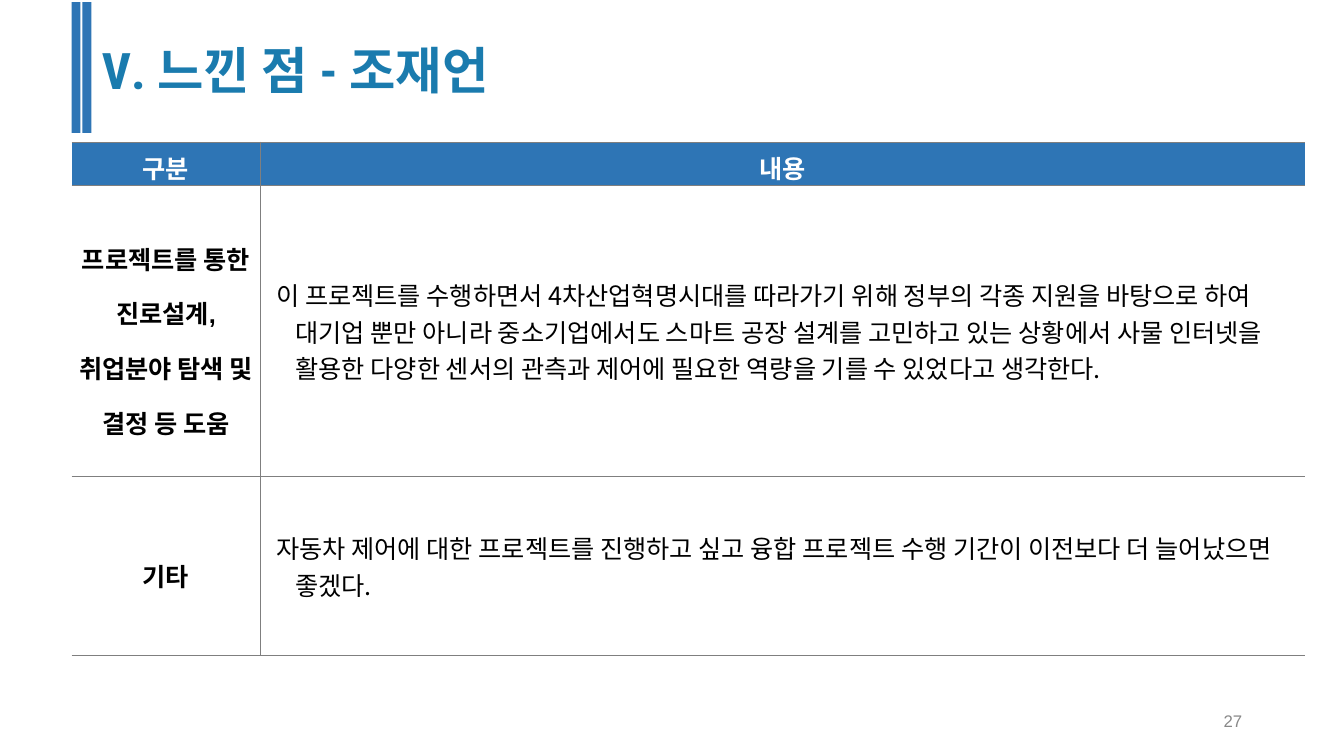
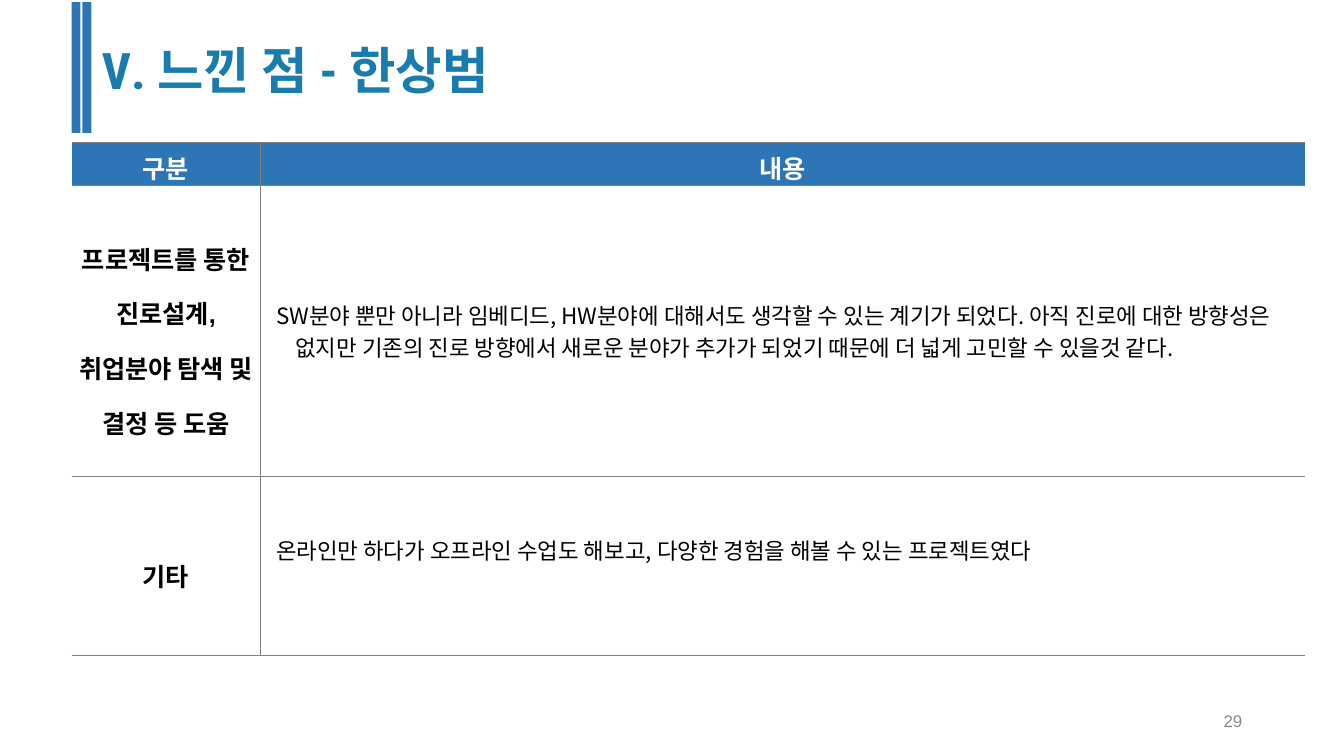
import pptx
import pptx.dml.color
import pptx.enum.shapes
import pptx.enum.text
import pptx.oxml
import pptx.oxml.ns
import pptx.util
from lxml import etree

Inches, Pt = pptx.util.Inches, pptx.util.Pt
ALIGN = pptx.enum.text.PP_ALIGN
ANCHOR = pptx.enum.text.MSO_ANCHOR
qn = pptx.oxml.ns.qn

SLIDE_W, SLIDE_H = Inches(13.33), Inches(7.5)
COLORS = {"band": "2E75B5", "title": "1A7BAE", "rule": "7F7F7F",
          "page": "888888", "text": "000000", "header_text": "FFFFFF"}
KOREAN = "Noto Sans CJK KR"

TITLE_BOX = (6.83, 4.53, 55.8, 9.47)
BARS_BOX = (5.33, 0.27, 1.47, 17.33)
TABLE_BOX = (5.33, 18.8, 91.75, 67.6)
PAGE_BOX = (70.67, 92.67, 22.5, 5.33)
COLUMN_WEIGHTS = (1.87, 10.36)
ROW_WEIGHTS = (0.41, 2.88, 1.78)

HEADERS = ("구분", "내용")
LABELS = ("프로젝트를 통한 진로설계,\n취업분야 탐색 및 결정 등 도움", "기타")
REFLECTIONS = (
    {"title": "Ⅴ. 느낀 점 - 조재언", "page": "27", "size": 18, "lift": 0,
     "answers": (
         "이 프로젝트를 수행하면서 4차산업혁명시대를 따라가기 위해 정부의 각종 지원을 "
         "바탕으로 하여 대기업 뿐만 아니라 중소기업에서도 스마트 공장 설계를 고민하고 있는 "
         "상황에서 사물 인터넷을 활용한 다양한 센서의 관측과 제어에 필요한 역량을 기를 수 "
         "있었다고 생각한다.",
         "자동차 제어에 대한 프로젝트를 진행하고 싶고 융합 프로젝트 수행 기간이 이전보다 더 "
         "늘어났으면 좋겠다.")},
    {"title": "Ⅴ. 느낀 점 - 한상범", "page": "29", "size": 16, "lift": 0.32,
     "answers": (
         "SW분야 뿐만 아니라 임베디드, HW분야에 대해서도 생각할 수 있는 계기가 되었다. 아직 "
         "진로에 대한 방향성은 없지만 기존의 진로 방향에서 새로운 분야가 추가가 되었기 때문에 "
         "더 넓게 고민할 수 있을것 같다.",
         "온라인만 하다가 오프라인 수업도 해보고, 다양한 경험을 해볼 수 있는 프로젝트였다")},
)


def rgb(key):
    """Return the named palette colour."""
    return pptx.dml.color.RGBColor.from_string(COLORS[key])


def place(box):
    """Turn percentages of the slide into left, top, width and height."""
    extents = (SLIDE_W, SLIDE_H, SLIDE_W, SLIDE_H)
    return [round(extent * share / 100) for extent, share in zip(extents, box)]


def split(total, weights):
    """Divide a length in proportion to the weights."""
    return [round(total * weight / sum(weights)) for weight in weights]


def style_text(frame, size, color, font, bold=False, align=ALIGN.LEFT, spacing=1.0):
    """Format every paragraph and run of a text frame."""
    for paragraph in frame.paragraphs:
        paragraph.alignment = align
        paragraph.line_spacing = spacing
        for run in paragraph.runs:
            run.font.size, run.font.bold, run.font.name = Pt(size), bold, font
            run.font.color.rgb = rgb(color)
            east_asian = etree.SubElement(run.font._element, qn("a:ea"))
            east_asian.set("typeface", KOREAN)


def add_title(slide, text, box):
    """Move the title placeholder to its box and format it."""
    title = slide.shapes.title
    title.left, title.top, title.width, title.height = place(box)
    frame = title.text_frame
    frame.text = text
    frame.word_wrap = True
    frame.auto_size = pptx.enum.text.MSO_AUTO_SIZE.NONE
    frame.vertical_anchor = ANCHOR.TOP
    style_text(frame, 36, "title", "Roboto Condensed", bold=True)


def add_bars(slide, box):
    """Draw the twin bars at both sides of the box."""
    left, top, width, height = place(box)
    bar_width = round(width * 0.45)
    for bar_left in (left, left + width - bar_width):
        bar = slide.shapes.add_shape(pptx.enum.shapes.MSO_SHAPE.RECTANGLE,
                                     bar_left, top, bar_width, height)
        bar.shadow.inherit = False
        bar.fill.solid()
        bar.fill.fore_color.rgb = rgb("band")
        bar.line.fill.background()


def set_borders(cell, hidden_side):
    """Rule every side of a cell except the hidden one."""
    properties = cell._tc.get_or_add_tcPr()
    for side in ("lnL", "lnR", "lnT", "lnB"):
        line = etree.SubElement(properties, qn(f"a:{side}"), w=str(Pt(0.75)))
        if side == hidden_side:
            etree.SubElement(line, qn("a:noFill"))
        else:
            fill = etree.SubElement(line, qn("a:solidFill"))
            etree.SubElement(fill, qn("a:srgbClr"), val=COLORS["rule"])


def format_answer(cell, size):
    """Give an answer cell its hanging indent and plain text."""
    cell.margin_left = Inches(0.04)
    style_text(cell.text_frame, size, "text", KOREAN)
    indents = cell.text_frame.paragraphs[0]._p.get_or_add_pPr()
    indents.set("marL", str(Inches(0.31)))
    indents.set("indent", str(Inches(-0.19)))


def add_reflection_table(slide, reflection, box):
    """Build the table of questions and answers in the box."""
    left, top, width, height = place(box)
    rows = (HEADERS, *zip(LABELS, reflection["answers"]))
    table = slide.shapes.add_table(len(rows), len(HEADERS), left, top, width, height).table
    table.first_row = table.horz_banding = False
    for column, column_width in zip(table.columns, split(width, COLUMN_WEIGHTS)):
        column.width = column_width
    for row, row_height in zip(table.rows, split(height, ROW_WEIGHTS)):
        row.height = row_height
    for row_index, texts in enumerate(rows):
        for column_index, text in enumerate(texts):
            cell = table.cell(row_index, column_index)
            cell.text_frame.text = text
            cell.vertical_anchor = ANCHOR.MIDDLE
            cell.margin_left = cell.margin_right = cell.margin_top = cell.margin_bottom = 0
            set_borders(cell, "lnR" if column_index else "lnL")
            if row_index == 0:
                cell.fill.solid()
                cell.fill.fore_color.rgb = rgb("band")
                style_text(cell.text_frame, 18, "header_text", "Arial", True, ALIGN.CENTER, 1.2)
                continue
            cell.fill.background()
            if column_index == 0:
                style_text(cell.text_frame, 18, "text", "Arial", True, ALIGN.CENTER, 1.5)
            else:
                format_answer(cell, reflection["size"])
    table.cell(len(rows) - 1, 1).margin_bottom = Inches(reflection["lift"])


def add_page_number(slide, number, box):
    """Write the page number at the right of its box."""
    frame = slide.shapes.add_textbox(*place(box)).text_frame
    frame.text = number
    frame.word_wrap = True
    frame.vertical_anchor = ANCHOR.MIDDLE
    style_text(frame, 12, "page", "Arial", align=ALIGN.RIGHT)


def add_reflection_slide(deck, reflection):
    """Add one member's reflection slide."""
    slide = deck.slides.add_slide(deck.slide_layouts.get_by_name("Title Only"))
    add_title(slide, reflection["title"], TITLE_BOX)
    add_bars(slide, BARS_BOX)
    add_reflection_table(slide, reflection, TABLE_BOX)
    add_page_number(slide, reflection["page"], PAGE_BOX)


def main():
    """Build and save the deck."""
    deck = pptx.Presentation()
    deck.slide_width, deck.slide_height = SLIDE_W, SLIDE_H
    for reflection in REFLECTIONS:
        add_reflection_slide(deck, reflection)
    deck.save("out.pptx")


if __name__ == "__main__":
    main()
